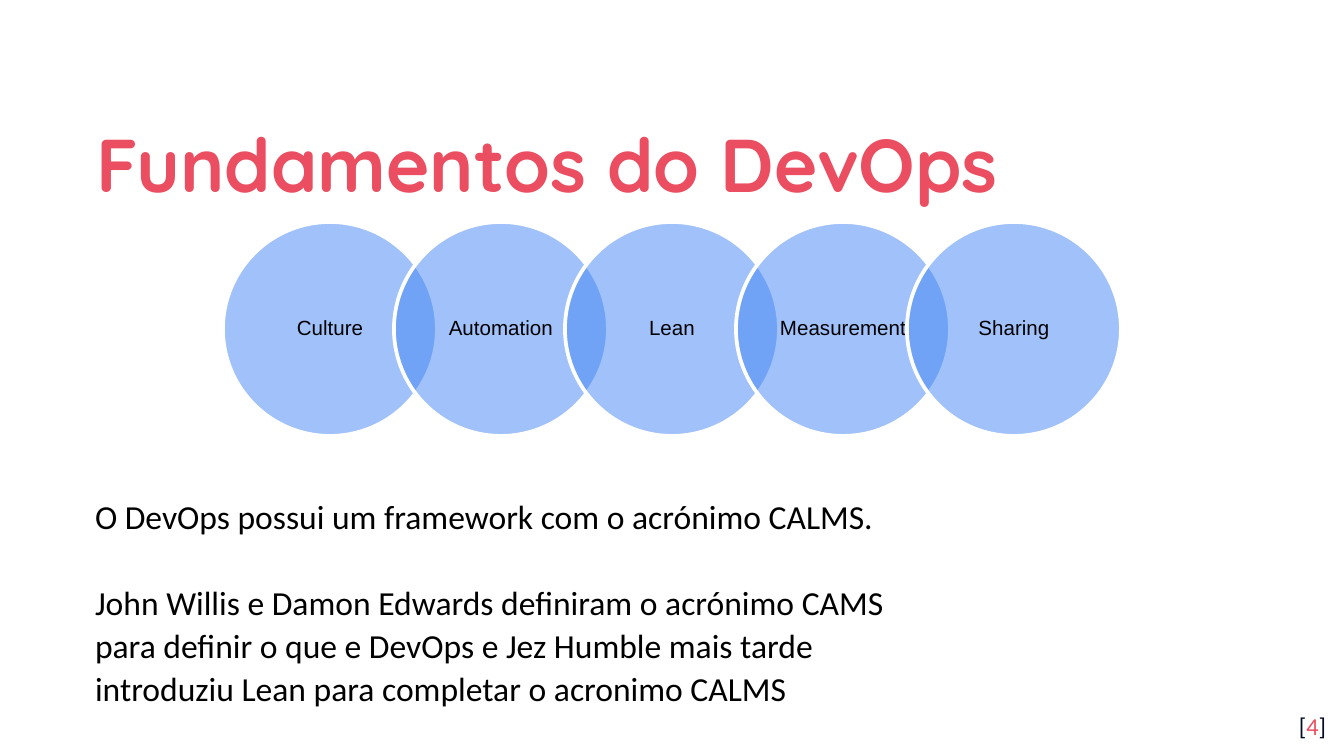
from lxml import etree
from pptx import Presentation
from pptx import util as u
from pptx.dml.color import RGBColor
from pptx.enum import shapes, text
from pptx.oxml.ns import qn

PX = 914400 / 134.4
COLORS = {"title": "EA4E60", "bracket": "040A24", "circle": "4285F4",
          "outline": "FFFFFF", "text": "000000"}


def px(*lengths):
    return [u.Emu(round(n * PX)) for n in lengths]


def write(frame, paragraphs, font, size, bold=False, align=text.PP_ALIGN.LEFT,
          anchor=text.MSO_ANCHOR.MIDDLE, spacing=1.0, gap=0, inset=(13, 13), wrap=True):
    frame.word_wrap = wrap
    frame.auto_size = text.MSO_AUTO_SIZE.NONE
    frame.vertical_anchor = anchor
    frame.margin_left, frame.margin_top = frame.margin_right, frame.margin_bottom = px(*inset)
    for i, runs in enumerate(paragraphs):
        paragraph = frame.add_paragraph() if i else frame.paragraphs[0]
        properties = paragraph._p.get_or_add_pPr()
        properties.set("marL", "0")
        properties.set("indent", "0")
        etree.SubElement(properties, qn("a:buNone"))
        paragraph.alignment = align
        paragraph.line_spacing = spacing
        paragraph.space_before = u.Pt(gap if i else 0)
        paragraph.space_after = u.Pt(0)
        for words, color in runs:
            run = paragraph.add_run()
            run.text = words
            run.font.name = font
            run.font.size = u.Pt(size)
            run.font.bold = bold
            run.font.color.rgb = RGBColor.from_string(COLORS[color])


deck = Presentation()
deck.slide_width, deck.slide_height = px(1344, 756)
slide = deck.slides.add_slide(deck.slide_layouts[1])

heading = slide.shapes.title
heading.left, heading.top, heading.width, heading.height = px(83, 94, 1179, 124)
write(heading.text_frame, [[("Fundamentos do DevOps", "title")]],
      "Quicksand", 40, bold=True, spacing=1.15)

page_number = slide.shapes.add_textbox(*px(1258, 698, 81, 58))
write(page_number.text_frame, [[("[", "bracket"), ("4", "title"), ("]", "bracket")]],
      "Calibri", 13, align=text.PP_ALIGN.RIGHT, anchor=text.MSO_ANCHOR.TOP)

DIAMETER, LABEL, STEP = 214, 151, 171
FIRST_CENTER, MIDDLE = 330, 329
for i, pillar in enumerate(["Culture", "Automation", "Lean", "Measurement", "Sharing"]):
    center = FIRST_CENTER + i * STEP
    circle = slide.shapes.add_shape(
        shapes.MSO_SHAPE.OVAL,
        *px(center - DIAMETER / 2, MIDDLE - DIAMETER / 2, DIAMETER, DIAMETER))
    circle.shadow.inherit = False
    circle.fill.solid()
    circle.fill.fore_color.rgb = RGBColor.from_string(COLORS["circle"])
    tint = circle._element.spPr.find(qn("a:solidFill"))[0]
    etree.SubElement(tint, qn("a:alpha"), val="50000")
    circle.line.color.rgb = RGBColor.from_string(COLORS["outline"])
    circle.line.width = u.Pt(2)

    label = slide.shapes.add_textbox(
        *px(center - LABEL / 2, MIDDLE - LABEL / 2, LABEL, LABEL))
    write(label.text_frame, [[(pillar, "text")]], "Arial", 11,
          align=text.PP_ALIGN.CENTER, spacing=0.9, inset=(12, 3), wrap=False)

explanation = slide.placeholders[1]
explanation.left, explanation.top, explanation.width, explanation.height = px(82, 485, 857, 231)
write(explanation.text_frame, [
    [("O DevOps possui um framework com o acrónimo CALMS.", "text")],
    [("John Willis e Damon Edwards definiram o acrónimo CAMS para definir o que e DevOps "
      "e Jez Humble mais tarde introduziu Lean para completar o acronimo CALMS", "text")],
], "Calibri", 18, spacing=1.07, gap=23)

deck.save("out.pptx")
